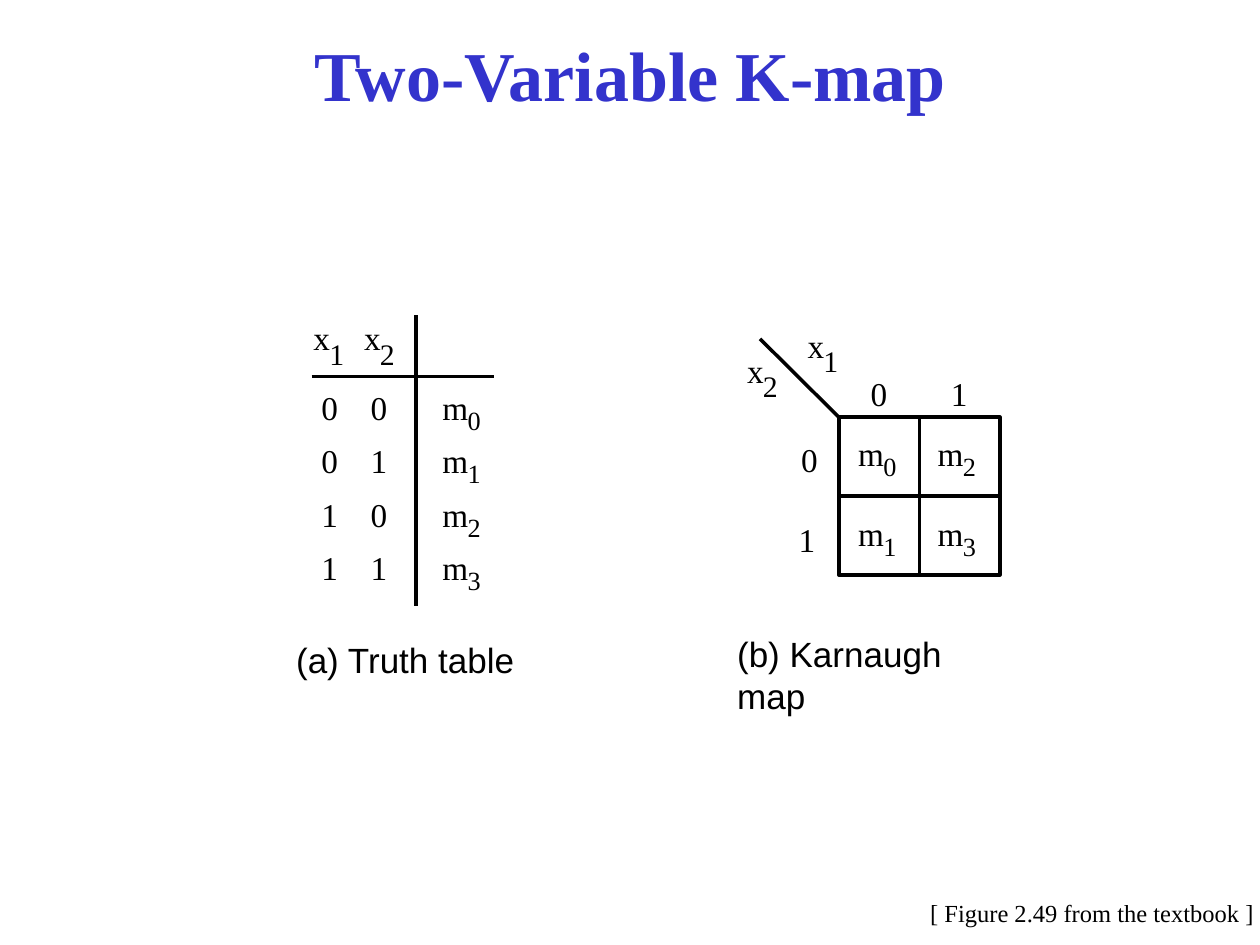
from pptx import Presentation
from pptx.dml.color import RGBColor
from pptx.enum.shapes import MSO_CONNECTOR, MSO_SHAPE
from pptx.enum.text import MSO_ANCHOR, MSO_AUTO_SIZE, PP_ALIGN
from pptx.oxml.ns import qn
from pptx.util import Cm, Pt
from lxml import etree

BLACK = RGBColor(0x00, 0x00, 0x00)
WHITE = RGBColor(0xFF, 0xFF, 0xFF)
BLUE = RGBColor(0x33, 0x33, 0xCC)
SERIF = "Times New Roman"
SANS = "Arial"
STRAIGHT = MSO_CONNECTOR.STRAIGHT
RECTANGLE = MSO_SHAPE.RECTANGLE
MIDDLE = MSO_ANCHOR.MIDDLE
NO_AUTOSIZE = MSO_AUTO_SIZE.NONE
CENTER = PP_ALIGN.CENTER

deck = Presentation()
deck.slide_width = Cm(25.4)
deck.slide_height = Cm(19.05)
page = deck.slides.add_slide(deck.slide_layouts[5])


def add_label(text, left, top, width=0.5, size=19, font=SERIF, inset=0):
    box = page.shapes.add_textbox(Cm(left), Cm(top), Cm(width), Cm(size * 0.0425 + 2 * inset))
    frame = box.text_frame
    frame.word_wrap = True
    frame.margin_left = frame.margin_right = Cm(2 * inset)
    frame.margin_top = frame.margin_bottom = Cm(inset)
    frame.text = text
    span = frame.paragraphs[0].runs[0]
    span.font.name = font
    span.font.size = Pt(size)
    span.font.color.rgb = BLACK


def add_variable(letter, index, left, top):
    right, down, size = (0.51, 0.34, 15) if letter == "m" else (0.32, 0.36, 17)
    add_label(letter, left, top, 0.66)
    add_label(str(index), left + right, top + down, 0.42, size)


title = page.shapes.title
title.left, title.top, title.width, title.height = Cm(0.64), Cm(0.64), Cm(24.13), Cm(1.7)
title.text_frame.text = "Two-Variable K-map"
title.text_frame.auto_size = NO_AUTOSIZE
title.text_frame.vertical_anchor = MIDDLE
heading = title.text_frame.paragraphs[0]
heading.alignment = CENTER
heading_font = heading.runs[0].font
heading_font.name = SERIF
heading_font.size = Pt(40)
heading_font.bold = True
heading_font.color.rgb = BLUE

map_left, map_top, map_width, map_height = 16.91, 8.41, 3.25, 3.18
map_right, map_bottom = map_left + map_width, map_top + map_height
map_center, map_middle = map_left + map_width / 2, map_top + map_height / 2

map_frame = page.shapes.add_shape(
    RECTANGLE, Cm(map_left), Cm(map_top), Cm(map_width), Cm(map_height))
map_frame.shadow.inherit = False
map_frame.fill.solid()
map_frame.fill.fore_color.rgb = WHITE
map_frame.line.color.rgb = BLACK
map_frame.line.width = Pt(2)

rules = [
    (map_left, map_middle, map_right, map_middle),
    (map_center, map_top, map_center, map_bottom),
    (15.32, 6.83, map_left, map_top),
    (6.28, 7.59, 9.96, 7.59),
    (8.39, 6.36, 8.39, 12.22),
]
for x1, y1, x2, y2 in rules:
    rule = page.shapes.add_connector(STRAIGHT, Cm(x1), Cm(y1), Cm(x2), Cm(y2))
    rule.line.color.rgb = BLACK
    rule.line.width = Pt(2)
    etree.SubElement(rule._element.spPr, qn("a:effectLst"))

add_variable("x", 1, 6.32, 6.4)
add_variable("x", 2, 7.34, 6.4)
for row in range(4):
    row_top = 7.8 + row * 1.08
    add_label(str(row // 2), 6.48, row_top)
    add_label(str(row % 2), 7.47, row_top)
    add_variable("m", row, 8.92, row_top)

add_variable("x", 2, 15.06, 7.06)
add_variable("x", 1, 16.28, 6.55)
for column in range(2):
    add_label(str(column), 17.55 + column * 1.62, 7.52)
    for row in range(2):
        add_variable("m", 2 * column + row, 17.3 + column * 1.6, 8.74 + row * 1.6)
for row in range(2):
    add_label(str(row), 16.15 - row * 0.05, 8.86 + row * 1.6)

add_label("(a) Truth table", 5.97, 12.88, 4.62, 20, SANS)
add_label("(b) Karnaugh map", 14.86, 12.75, 5.5, 20, SANS)
add_label("[ Figure 2.49 from the textbook ]", 18.49, 17.98, 7.1, 14, SERIF, 0.13)

deck.save("out.pptx")
